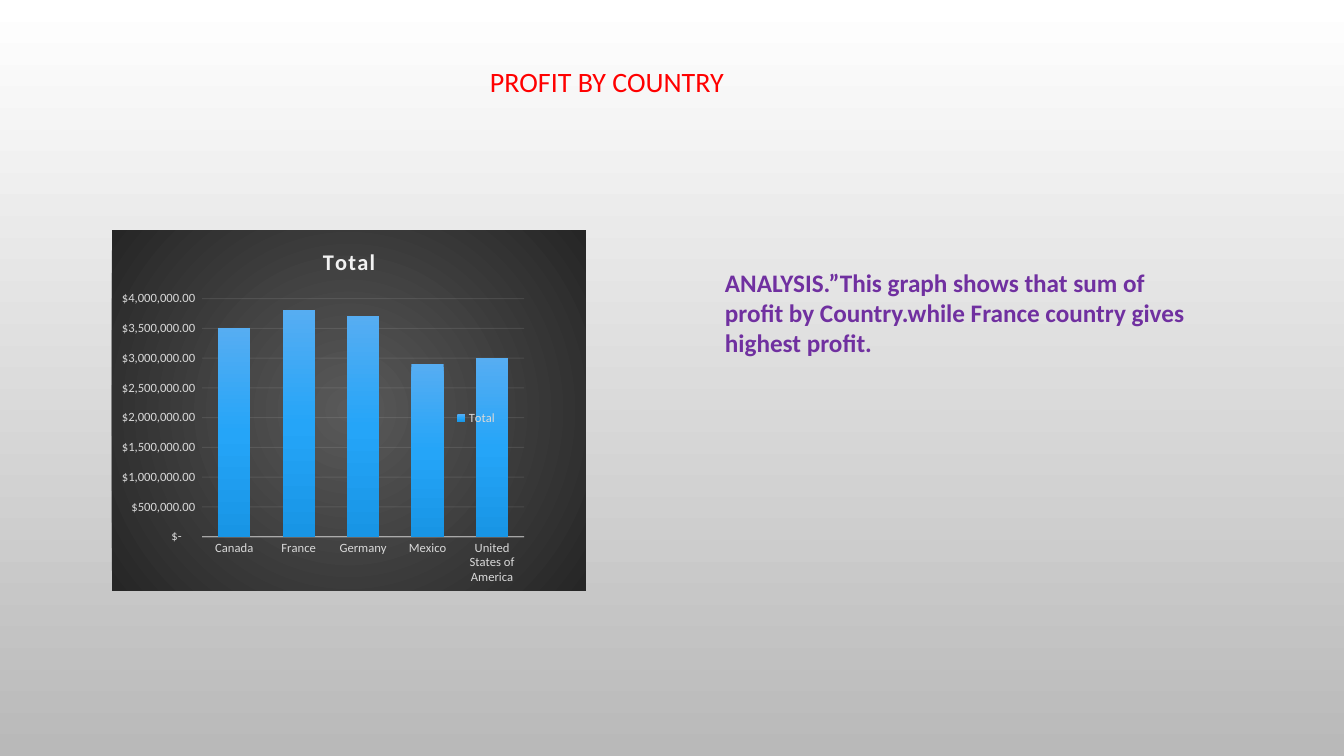
from dataclasses import dataclass

from lxml import etree
from pptx import Presentation
from pptx.chart.data import CategoryChartData
from pptx.dml.color import RGBColor
from pptx.enum.chart import XL_CHART_TYPE as ChartType
from pptx.enum.chart import XL_LEGEND_POSITION as LegendPosition
from pptx.enum.chart import XL_TICK_MARK as TickMark
from pptx.enum.text import MSO_AUTO_SIZE as AutoSize
from pptx.enum.text import PP_ALIGN as Align
from pptx.oxml import parse_xml
from pptx.oxml.ns import nsdecls, qn
from pptx.util import Emu, Pt

SLIDE_W, SLIDE_H = 1344, 756
EMU_PER_PX = 12192000 / SLIDE_W


@dataclass(frozen=True)
class Theme:
    font: str = "Calibri"
    backdrop: tuple = ("FFFFFF", "B9B9B9")
    heading: str = "FF0000"
    analysis: str = "7030A0"
    chart_title: str = "F2F2F2"
    chart_label: str = "D9D9D9"
    chart_line: str = "F2F2F2"
    chart_area: tuple = ((0, "595959"), (100, "262626"))
    bars: tuple = ((0, "56ADF2"), (50, "25A5F8"), (100, "1895E5"))
    heading_size: int = 20
    analysis_size: int = 18
    chart_title_size: int = 16
    chart_label_size: int = 9


THEME = Theme()
CURRENCY = r'_("$"* #,##0.00_);_("$"* \(#,##0.00\);_("$"* "-"??_);_(@_)'
PROFITS = {
    "Canada": 3500000,
    "France": 3800000,
    "Germany": 3700000,
    "Mexico": 2900000,
    "United States of America": 3000000,
}
DOWNWARD = '<a:lin ang="5400000" scaled="0"/>'
FROM_CENTRE = (
    '<a:path path="circle">'
    '<a:fillToRect l="50000" t="50000" r="50000" b="50000"/></a:path>'
)


def px(length):
    return Emu(round(length * EMU_PER_PX))


def style_font(font, size, color, bold=False):
    font.name = THEME.font
    font.size = Pt(size)
    font.bold = bold
    font.color.rgb = RGBColor.from_string(color)


def gradient_fill(stops, direction):
    stop_xml = "".join(
        f'<a:gs pos="{percent * 1000}"><a:srgbClr val="{color}"/></a:gs>'
        for percent, color in stops
    )
    return parse_xml(
        f'<a:gradFill {nsdecls("a")} rotWithShape="1">'
        f"<a:gsLst>{stop_xml}</a:gsLst>{direction}</a:gradFill>"
    )


def style_line(line, width, opacity):
    line.width = Pt(width)
    line.color.rgb = RGBColor.from_string(THEME.chart_line)
    color = line._get_or_add_ln().find(".//" + qn("a:srgbClr"))
    etree.SubElement(color, qn("a:alpha")).set("val", str(opacity * 1000))


def manual_layout(target="", **fractions):
    """Build a chart layout from fractions of the chart's size."""
    settings = {"xMode": "edge", "yMode": "edge", **fractions}
    if target:
        settings = {"layoutTarget": target, **settings}
    items = "".join(f'<c:{tag} val="{val}"/>' for tag, val in settings.items())
    return parse_xml(
        f'<c:layout {nsdecls("c")}><c:manualLayout>{items}</c:manualLayout></c:layout>'
    )


def drop_layout(element):
    for layout in element.findall(qn("c:layout")):
        element.remove(layout)


def paint_background(slide):
    fill = slide.background.fill
    fill.gradient()
    fill.gradient_angle = 270
    for stop, color in zip(fill.gradient_stops, THEME.backdrop):
        stop.color.rgb = RGBColor.from_string(color)


def add_text(slide, box, text, size, color, bold=False, align=Align.LEFT):
    frame = slide.shapes.add_textbox(*map(px, box)).text_frame
    frame.word_wrap = True
    frame.auto_size = AutoSize.SHAPE_TO_FIT_TEXT
    frame.text = text
    paragraph = frame.paragraphs[0]
    paragraph.alignment = align
    style_font(paragraph.runs[0].font, size, color, bold)


def style_axes(chart):
    countries, profit = chart.category_axis, chart.value_axis
    for axis in (countries, profit):
        axis.major_tick_mark = axis.minor_tick_mark = TickMark.NONE
        style_font(axis.tick_labels.font, THEME.chart_label_size, THEME.chart_label)
    style_line(countries.format.line, 1, 54)
    profit.format.line.fill.background()
    profit.minimum_scale, profit.maximum_scale = 0, 4000000
    profit.major_unit = 500000
    profit.tick_labels.number_format = CURRENCY
    profit.tick_labels.number_format_is_linked = False
    style_line(profit.major_gridlines.format.line, 0.75, 10)


def style_legend(chart):
    chart.has_legend = True
    legend = chart.legend
    legend.position = LegendPosition.RIGHT
    legend.include_in_layout = False
    style_font(legend.font, THEME.chart_label_size, THEME.chart_label)
    drop_layout(legend._element)
    position = legend._element.find(qn("c:legendPos"))
    position.addnext(manual_layout(x=0.72, y=0.49))


def style_title(chart, text):
    chart.has_title = True
    frame = chart.chart_title.text_frame
    frame.text = text
    run = frame.paragraphs[0].runs[0]
    style_font(run.font, THEME.chart_title_size, THEME.chart_title, bold=True)
    run._r.get_or_add_rPr().set("spc", "100")


def style_chart_area(chart):
    area = parse_xml(f'<c:spPr {nsdecls("c", "a")}><a:ln><a:noFill/></a:ln></c:spPr>')
    area.insert(0, gradient_fill(THEME.chart_area, FROM_CENTRE))
    chart._chartSpace.find(qn("c:chart")).addnext(area)
    plot_area = chart._chartSpace.find(".//" + qn("c:plotArea"))
    drop_layout(plot_area)
    plot_area.insert(0, manual_layout("inner", x=0.19, y=0.19, w=0.68, h=0.66))


def add_profit_chart(slide, box):
    data = CategoryChartData(number_format=CURRENCY)
    data.categories = PROFITS.keys()
    data.add_series("Total", PROFITS.values())
    chart = slide.shapes.add_chart(
        ChartType.COLUMN_CLUSTERED, *map(px, box), data
    ).chart
    style_font(chart.font, THEME.chart_label_size, THEME.chart_label)
    style_chart_area(chart)
    style_title(chart, "Total")
    style_axes(chart)
    style_legend(chart)

    columns = chart.plots[0]
    columns.vary_by_categories = False
    columns.gap_width, columns.overlap = 100, -24
    total = columns.series[0]
    total.invert_if_negative = False
    bar_style = total._element.get_or_add_spPr()
    bar_style.append(gradient_fill(THEME.bars, DOWNWARD))


def main():
    deck = Presentation()
    deck.slide_width, deck.slide_height = px(SLIDE_W), px(SLIDE_H)
    slide = deck.slides.add_slide(deck.slide_layouts[6])
    paint_background(slide)
    add_profit_chart(slide, (112, 230, 474, 361))
    add_text(slide, (283, 60, 648, 44), "PROFIT BY COUNTRY",
             THEME.heading_size, THEME.heading, align=Align.CENTER)
    add_text(slide, (715, 262, 493, 102),
             "ANALYSIS.”This graph shows that sum of profit by Country.while "
             "France country gives highest profit.",
             THEME.analysis_size, THEME.analysis, bold=True)
    deck.save("out.pptx")


if __name__ == "__main__":
    main()
